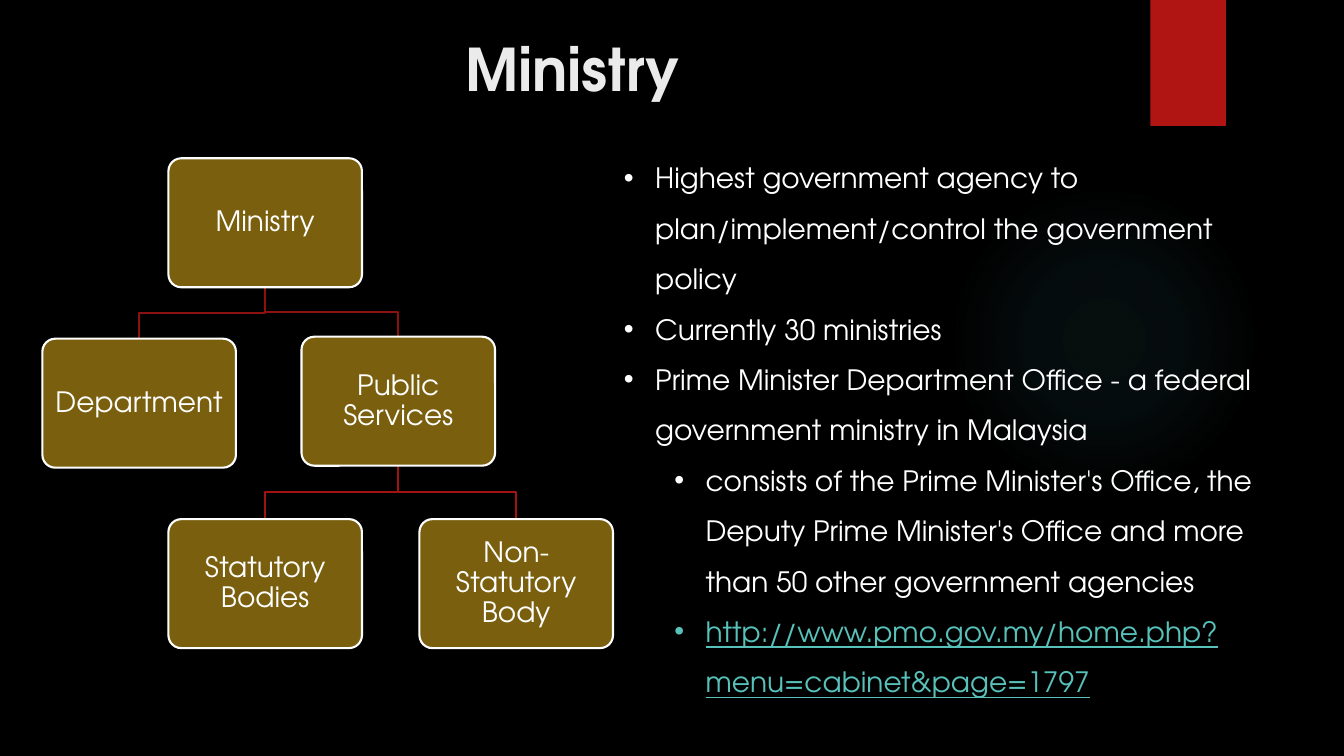
import pptx
import pptx.util
import pptx.dml.color
import pptx.enum.shapes
import pptx.enum.text
import pptx.oxml
import pptx.oxml.ns

WIDTH, HEIGHT = 13.33, 7.5
FACE = "TeX Gyre Adventor"
WHITE, GOLD, LINK = "FFFFFF", "795F0E", "58C1BA"
TITLE = "Ministry"
NODE_WIDTH, NODE_HEIGHT = 1.92, 1.28
NODES = {
    "Ministry": (1.67, 1.57),
    "Department": (0.42, 3.36),
    "Public Services": (2.99, 3.34),
    "Statutory Bodies": (1.67, 5.15),
    "Non-Statutory Body": (4.16, 5.15),
}
LINKS = [
    ("Ministry", "Department", "8D110F"),
    ("Ministry", "Public Services", "8D110F"),
    ("Public Services", "Statutory Bodies", "A01311"),
    ("Public Services", "Non-Statutory Body", "A01311"),
]
POINTS = [
    (0, "Highest government agency to plan/implement/control the government policy", {}),
    (0, "Currently 30 ministries", {}),
    (0, "Prime Minister Department Office - a federal government ministry in Malaysia", {}),
    (1, "consists of the Prime Minister's Office, the Deputy Prime Minister's Office "
        "and more than 50 other government agencies", {}),
    (1, "http://www.pmo.gov.my/home.php?menu=cabinet&page=1797",
     {"color": LINK, "underline": True}),
]
GLOW_STOPS = [(0, 7), (36, 6), (69, 0)]
INCH = pptx.util.Inches
SHAPE = pptx.enum.shapes.MSO_SHAPE
CENTER = pptx.enum.text.PP_ALIGN.CENTER


def paint(target, color):
    target.solid()
    target.fore_color.rgb = pptx.dml.color.RGBColor.from_string(color)


def add_box(page, kind, place, color):
    box = page.shapes.add_shape(kind, *map(INCH, place))
    box.shadow.inherit = False
    paint(box.fill, color)
    box.line.fill.background()
    return box


def write(para, text, color=WHITE, **formats):
    span = para.add_run()
    span.text = text
    paint(span.font.fill, color)
    for name, value in {"name": FACE, "size": pptx.util.Pt(20), **formats}.items():
        setattr(span.font, name, value)


def add_glow(page):
    glow = add_box(page, SHAPE.OVAL, (9.41, 1.83, 3.08, 3.08), "50B9C1")
    stops = "".join(
        f'<a:gs pos="{place * 1000}"><a:srgbClr val="50B9C1">'
        f'<a:alpha val="{alpha * 1000}"/></a:srgbClr></a:gs>'
        for place, alpha in GLOW_STOPS)
    gradient = pptx.oxml.parse_xml(
        f'<a:gradFill {pptx.oxml.ns.nsdecls("a")} rotWithShape="1"><a:gsLst>{stops}</a:gsLst>'
        '<a:path path="circle"><a:fillToRect l="50000" t="50000" r="50000" b="50000"/>'
        '</a:path></a:gradFill>')
    properties = glow.element.spPr
    solid = properties.find(pptx.oxml.ns.qn("a:solidFill"))
    properties.replace(solid, gradient)


def add_title(page):
    frame = page.shapes.add_textbox(*map(INCH, (0.54, 0.28, 10.28, 0.91))).text_frame
    frame.word_wrap = True
    para = frame.paragraphs[0]
    para.alignment = CENTER
    write(para, TITLE, "EBEBEB", size=pptx.util.Pt(42), bold=True)


def add_link(page, parent, child, color):
    (left, top), (child_left, bottom) = NODES[parent], NODES[child]
    start, end = left + NODE_WIDTH / 2, child_left + NODE_WIDTH / 2
    top += NODE_HEIGHT
    middle = (top + bottom) / 2
    corners = [(start, middle), (end, middle), (end, bottom)]
    builder = page.shapes.build_freeform(INCH(start), INCH(top))
    builder.add_line_segments([(INCH(x), INCH(y)) for x, y in corners], close=False)
    elbow = builder.convert_to_shape()
    elbow.shadow.inherit = False
    elbow.fill.background()
    paint(elbow.line.fill, color)
    elbow.line.width = pptx.util.Pt(1.5)


def add_node(page, label):
    box = add_box(page, SHAPE.ROUNDED_RECTANGLE,
                  (*NODES[label], NODE_WIDTH, NODE_HEIGHT), GOLD)
    box.adjustments[0] = 0.1
    paint(box.line.fill, WHITE)
    box.line.width = pptx.util.Pt(1.5)
    frame = box.text_frame
    frame.word_wrap = True
    frame.vertical_anchor = pptx.enum.text.MSO_ANCHOR.MIDDLE
    for side in ("left", "top", "right", "bottom"):
        setattr(frame, f"margin_{side}", INCH(0.08))
    para = frame.paragraphs[0]
    para.alignment = CENTER
    para.line_spacing = 0.9
    write(para, label)


def add_points(page):
    frame = page.shapes.add_textbox(*map(INCH, (6.09, 1.38, 6.73, 5.59))).text_frame
    frame.word_wrap = True
    frame.auto_size = pptx.enum.text.MSO_AUTO_SIZE.SHAPE_TO_FIT_TEXT
    for index, (level, text, formats) in enumerate(POINTS):
        para = frame.add_paragraph() if index else frame.paragraphs[0]
        properties = para._p.get_or_add_pPr()
        properties.set("marL", str(INCH(0.31 + level * 0.5)))
        properties.set("indent", str(INCH(-0.31)))
        for tag in ('buFont typeface="Arial"', 'buChar char="•"'):
            properties.append(pptx.oxml.parse_xml(
                f'<a:{tag} {pptx.oxml.ns.nsdecls("a")}/>'))
        para.level = level
        para.line_spacing = 1.5
        write(para, text, **formats)


def main():
    """Build the ministry slide and save it."""
    deck = pptx.Presentation()
    deck.slide_width, deck.slide_height = INCH(WIDTH), INCH(HEIGHT)
    page = deck.slides.add_slide(deck.slide_layouts[6])
    paint(page.background.fill, "000000")
    add_glow(page)
    add_box(page, SHAPE.RECTANGLE, (11.41, 0, 0.75, HEIGHT / 6), "B01513")
    add_title(page)
    for link in LINKS:
        add_link(page, *link)
    for label in NODES:
        add_node(page, label)
    add_points(page)
    deck.save("out.pptx")


if __name__ == "__main__":
    main()
